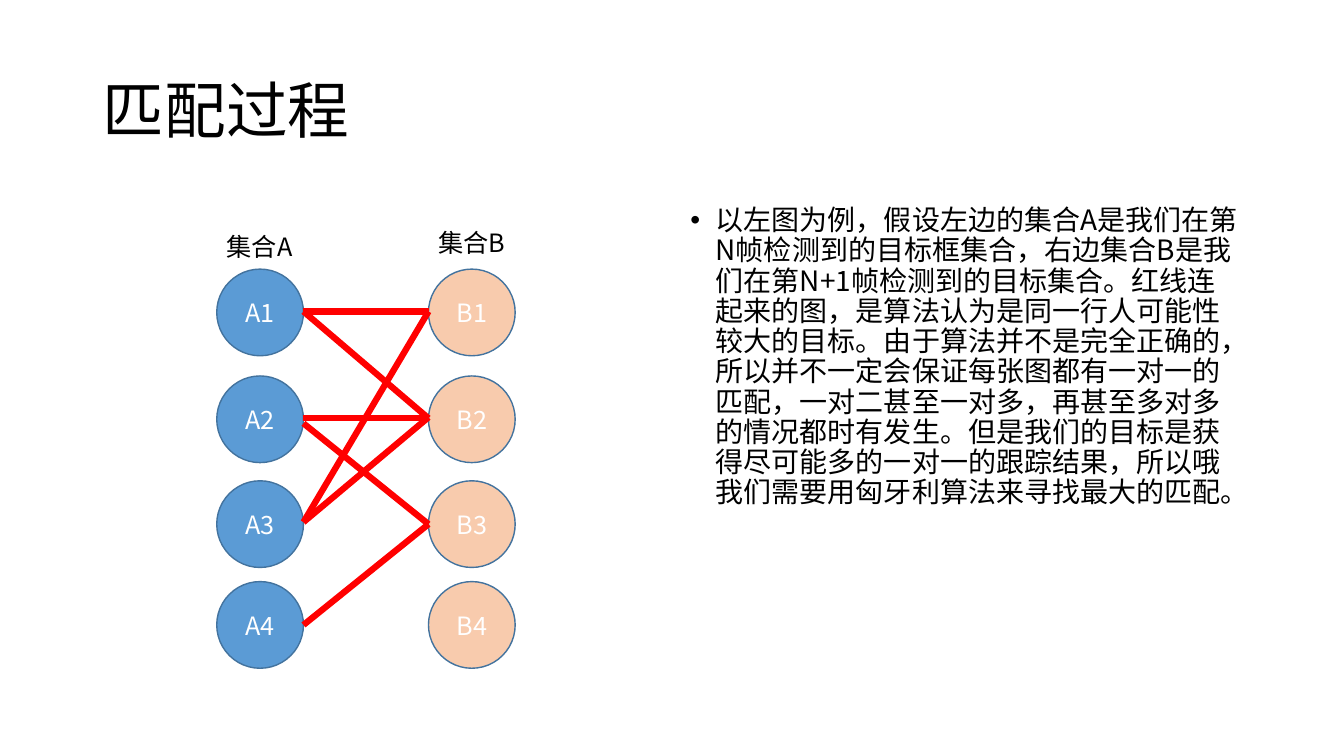
"""Build the slide that explains matching between set A and set B."""
from dataclasses import dataclass

from lxml.etree import SubElement
from pptx import Presentation
from pptx.dml.color import RGBColor
from pptx.enum.shapes import MSO_CONNECTOR, MSO_SHAPE
from pptx.enum.text import MSO_ANCHOR, MSO_AUTO_SIZE, PP_ALIGN
from pptx.oxml.ns import qn
from pptx.slide import Slide
from pptx.text.text import TextFrame, _Paragraph
from pptx.util import Emu, Pt

PX = 9144
FONT = "Noto Sans CJK SC"
BLACK = RGBColor(0x00, 0x00, 0x00)
WHITE = RGBColor(0xFF, 0xFF, 0xFF)
RED = RGBColor(0xFF, 0x00, 0x00)
BLUE = RGBColor(0x5B, 0x9B, 0xD5)
PEACH = RGBColor(0xF8, 0xCB, 0xAD)
OUTLINE = RGBColor(0x43, 0x73, 0x9E)

DIAMETER = 86
NODE_TOPS = (267, 373, 477, 577)
EXPLANATION = (
    "以左图为例，假设左边的集合A是我们在第N帧检测到的目标框集合，"
    "右边集合B是我们在第N+1帧检测到的目标集合。"
    "红线连起来的图，是算法认为是同一行人可能性较大的目标。"
    "由于算法并不是完全正确的，所以并不一定会保证每张图都有一对一的匹配，"
    "一对二甚至一对多，再甚至多对多的情况都时有发生。"
    "但是我们的目标是获得尽可能多的一对一的跟踪结果，"
    "所以哦我们需要用匈牙利算法来寻找最大的匹配。"
)


@dataclass(frozen=True)
class NodeSet:
    """A labelled column of circles."""
    name: str
    left: int
    label_top: int
    fill: RGBColor


@dataclass(frozen=True)
class Match:
    """A red line between the heights of an A circle and a B circle."""
    start_y: int
    end_y: int


SET_A = NodeSet("A", 215, 225, BLUE)
SET_B = NodeSet("B", 425, 221, PEACH)
MATCHES = (
    Match(309, 309),
    Match(309, 415),
    Match(415, 415),
    Match(420, 520),
    Match(518, 309),
    Match(518, 414),
    Match(620, 520),
)


def px(*lengths: int) -> list[Emu]:
    """Turn px lengths into EMU."""
    return [Emu(length * PX) for length in lengths]


def write(para: _Paragraph, text: str, size: int, color: RGBColor) -> None:
    """Add one formatted run to a paragraph."""
    span = para.add_run()
    span.text = text
    span.font.size = Pt(size)
    span.font.color.rgb = color
    span.font.name = FONT
    SubElement(span.font._element, qn("a:ea"), typeface=FONT)


def add_text_box(page: Slide, left: int, top: int, width: int, height: int) -> TextFrame:
    """Add a wrapping text box and return its frame."""
    frame = page.shapes.add_textbox(*px(left, top, width, height)).text_frame
    frame.word_wrap = True
    return frame


def set_title(page: Slide) -> None:
    """Place and fill the title."""
    title = page.shapes.title
    title.left, title.top, title.width, title.height = px(92, 40, 1150, 145)
    frame = title.text_frame
    frame.auto_size = MSO_AUTO_SIZE.NONE
    frame.vertical_anchor = MSO_ANCHOR.MIDDLE
    para = frame.paragraphs[0]
    para.alignment = PP_ALIGN.LEFT
    para.line_spacing = 0.9
    write(para, "匹配过程", 44, BLACK)


def add_explanation(page: Slide) -> None:
    """Add the bulleted explanation."""
    para = add_text_box(page, 675, 200, 567, 476).paragraphs[0]
    para.line_spacing = 0.9
    para.space_before = Pt(10)
    properties = para._p.get_or_add_pPr()
    indent = 25 * PX
    properties.set("marL", str(indent))
    properties.set("indent", str(-indent))
    SubElement(properties, qn("a:buFont"), typeface="Arial")
    SubElement(properties, qn("a:buChar"), char="•")
    write(para, EXPLANATION, 20, BLACK)


def add_nodes(page: Slide, nodes: NodeSet) -> None:
    """Add a group of numbered circles."""
    group = page.shapes.add_group_shape()
    for number, top in enumerate(NODE_TOPS, start=1):
        circle = group.shapes.add_shape(
            MSO_SHAPE.OVAL, *px(nodes.left, top, DIAMETER, DIAMETER))
        circle.shadow.inherit = False
        circle.fill.solid()
        circle.fill.fore_color.rgb = nodes.fill
        circle.line.color.rgb = OUTLINE
        circle.line.width = Pt(1)
        frame = circle.text_frame
        frame.vertical_anchor = MSO_ANCHOR.MIDDLE
        para = frame.paragraphs[0]
        para.alignment = PP_ALIGN.CENTER
        write(para, f"{nodes.name}{number}", 18, WHITE)


def add_match(page: Slide, match: Match) -> None:
    """Add a red line from set A to set B."""
    line = page.shapes.add_connector(
        MSO_CONNECTOR.STRAIGHT,
        *px(SET_A.left + DIAMETER, match.start_y, SET_B.left, match.end_y))
    line.line.color.rgb = RED
    line.line.width = Pt(4.5)
    SubElement(line._element.spPr, qn("a:effectLst"))


def add_label(page: Slide, nodes: NodeSet) -> None:
    """Add the name above a column of circles."""
    frame = add_text_box(page, nodes.left, nodes.label_top, 105, 40)
    frame.auto_size = MSO_AUTO_SIZE.SHAPE_TO_FIT_TEXT
    write(frame.paragraphs[0], f"集合{nodes.name}", 18, BLACK)


def main() -> None:
    """Build and save the deck."""
    deck = Presentation()
    deck.slide_width, deck.slide_height = px(1333, 750)
    page = deck.slides.add_slide(deck.slide_layouts.get_by_name("Title Only"))
    set_title(page)
    add_explanation(page)
    for nodes in (SET_A, SET_B):
        add_nodes(page, nodes)
    for match in MATCHES:
        add_match(page, match)
    for nodes in (SET_A, SET_B):
        add_label(page, nodes)
    deck.save("out.pptx")


if __name__ == "__main__":
    main()
